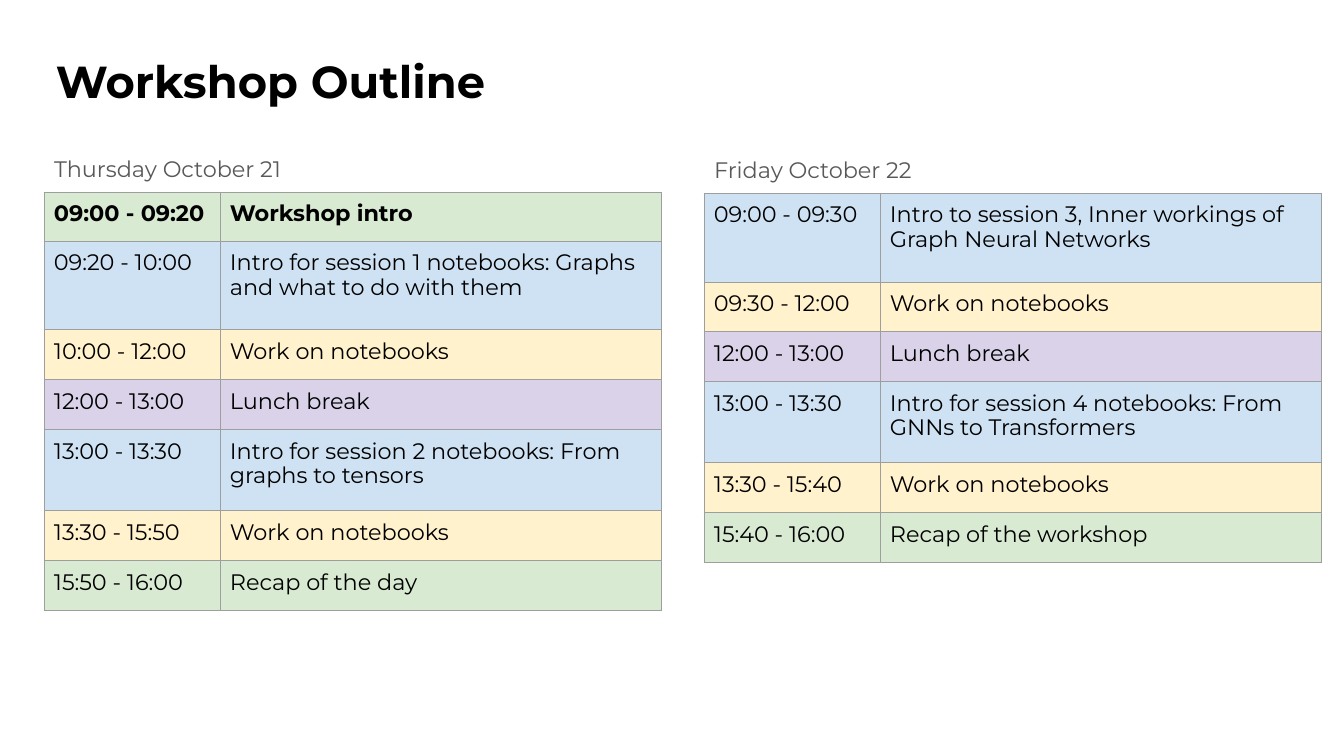
from lxml.etree import SubElement
from pptx import Presentation
from pptx.dml.color import RGBColor
from pptx.enum.text import MSO_ANCHOR
from pptx.oxml.ns import qn
from pptx.util import Pt

SCALE = 914400 / 100.8
FONT = "Montserrat"
BLACK, GREY, EDGE = "000000", "595959", "9E9E9E"
GREEN, BLUE, YELLOW, PURPLE = "D9EAD3", "CFE2F3", "FFF2CC", "D9D2E9"
COLS = (176, 442)
LABEL = 63

# Each row: height, fill, time, topic
THURSDAY = [
    (49, GREEN, "09:00 - 09:20", "Workshop intro"),
    (89, BLUE, "09:20 - 10:00",
     "Intro for session 1 notebooks: Graphs and what to do with them"),
    (50, YELLOW, "10:00 - 12:00", "Work on notebooks"),
    (50, PURPLE, "12:00 - 13:00", "Lunch break"),
    (81, BLUE, "13:00 - 13:30",
     "Intro for session 2 notebooks: From graphs to tensors"),
    (50, YELLOW, "13:30 - 15:50", "Work on notebooks"),
    (50, GREEN, "15:50 - 16:00", "Recap of the day"),
]
FRIDAY = [
    (89, BLUE, "09:00 - 09:30",
     "Intro to session 3, Inner workings of Graph Neural Networks"),
    (50, YELLOW, "09:30 - 12:00", "Work on notebooks"),
    (50, PURPLE, "12:00 - 13:00", "Lunch break"),
    (81, BLUE, "13:00 - 13:30",
     "Intro for session 4 notebooks: From GNNs to Transformers"),
    (50, YELLOW, "13:30 - 15:40", "Work on notebooks"),
    (50, GREEN, "15:40 - 16:00", "Recap of the workshop"),
]


def px(n):
    return round(n * SCALE)


def color(code):
    return RGBColor.from_string(code)


def put(obj, values):
    for name, value in values.items():
        setattr(obj, name, value)


def inset(obj, *sides):
    names = ("margin_left", "margin_top", "margin_right", "margin_bottom")
    put(obj, dict(zip(names, map(px, sides))))


def write(frame, text, size, tone, line, bold=False):
    para = frame.paragraphs[0]
    para.line_spacing = line
    run = para.add_run()
    run.text = text
    put(run.font, {"name": FONT, "size": Pt(size), "bold": bold})
    run.font.color.rgb = color(tone)


def text_box(slide, box, anchor, sides):
    frame = slide.shapes.add_textbox(*map(px, box)).text_frame
    put(frame, {"word_wrap": True, "vertical_anchor": anchor})
    inset(frame, *sides)
    return frame


def border(cell):
    props = cell._tc.get_or_add_tcPr()
    for side in ("lnL", "lnR", "lnT", "lnB"):
        line = SubElement(props, qn("a:" + side), w=str(Pt(0.75)))
        fill = SubElement(line, qn("a:solidFill"))
        SubElement(fill, qn("a:srgbClr"), val=EDGE)


def heading(slide, box):
    frame = text_box(slide, box, MSO_ANCHOR.MIDDLE, (10, 5, 10, 5))
    write(frame, "Workshop Outline", 32, BLACK, 0.9, True)


def day(slide, left, top, label, plan, bold_row=None):
    # Date label, resting on the table
    wide = sum(COLS)
    frame = text_box(slide, (left, top, wide, LABEL),
                     MSO_ANCHOR.BOTTOM, (10, 0, 0, 10))
    write(frame, label, 16, GREY, 1.15)

    # Timetable
    box = (left, top + LABEL, wide, sum(row[0] for row in plan))
    table = slide.shapes.add_table(
        len(plan), len(COLS), *map(px, box)).table
    put(table, {"first_row": False, "horz_banding": False})
    for col, width in zip(table.columns, COLS):
        col.width = px(width)
    for i, (high, tint, *texts) in enumerate(plan):
        table.rows[i].height = px(high)
        for cell, text in zip(table.rows[i].cells, texts):
            inset(cell, 10, 10, 10, 10)
            border(cell)
            cell.fill.solid()
            cell.fill.fore_color.rgb = color(tint)
            write(cell.text_frame, text, 16, BLACK, 0.9, i == bold_row)


def main():
    deck = Presentation()
    put(deck, {"slide_width": px(1344), "slide_height": px(756)})
    slide = deck.slides.add_slide(deck.slide_layouts[6])
    heading(slide, (46, 42, 1252, 84))
    day(slide, 44, 129, "Thursday October 21", THURSDAY, bold_row=0)
    day(slide, 704, 130, "Friday October 22", FRIDAY)
    deck.save("out.pptx")


if __name__ == "__main__":
    main()
